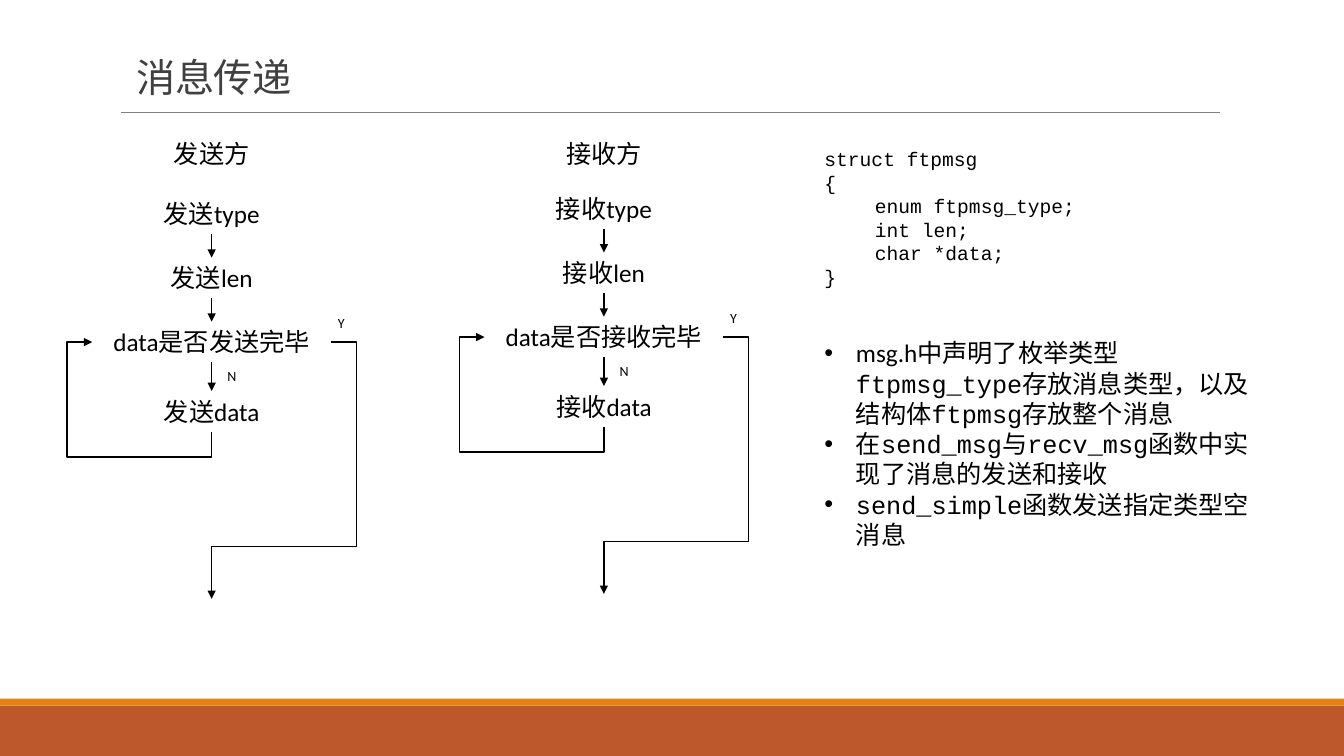
import pptx
import pptx.util
import pptx.dml.color
import pptx.enum.shapes
import pptx.enum.text
import pptx.oxml
import pptx.oxml.ns

Pt = pptx.util.Pt
ALIGN = pptx.enum.text.PP_ALIGN
ANCHOR = pptx.enum.text.MSO_ANCHOR
CONNECTOR = pptx.enum.shapes.MSO_CONNECTOR
BODY, CODE = "Calibri", "Courier New"

# Content
TITLE = "消息传递"
LANES = [
    # heading, centre x, top of first step, steps
    ("发送方", 151.2, 138.2, ["发送type", "发送len", "data是否发送完毕", "发送data"]),
    ("接收方", 431.4, 134.6, ["接收type", "接收len", "data是否接收完毕", "接收data"]),
]
STRUCT = ["struct ftpmsg", "{", "\tenum ftpmsg_type;", "\tint len;", "\tchar *data;", "}"]
NOTES = [
    [("msg.h中声明了枚举类型", BODY), ("ftpmsg_type存放消息类型，以及结构体ftpmsg存放整个消息", CODE)],
    [("在send_msg与recv_msg函数中实现了消息的发送和接收", CODE)],
    [("send_simple函数发送指定类型空消息", CODE)],
]

# Flowchart measures
STEP_TOPS = [0, 45.8, 91.6, 141.1]
STEP_W, DECISION_W, STEP_H = 100, 170.6, 29.1
ELBOW_OUT = 18
EXIT_BOTTOM, EXIT_TURN = 289.6, 0.797

deck = pptx.Presentation()
deck.slide_width, deck.slide_height = Pt(960), Pt(540)
slide = deck.slides.add_slide(deck.slide_layouts[6])


def color(hex_code):
    return pptx.dml.color.RGBColor.from_string(hex_code)


def xml(tag, attributes=""):
    return pptx.oxml.parse_xml(f"<a:{tag} {pptx.oxml.ns.nsdecls('a')} {attributes}/>")


def add_text(paragraphs, left, top, width, height, size=18, font=BODY, ink="000000",
             align=ALIGN.LEFT, anchor=ANCHOR.TOP, grow=True, leading=None,
             spacing=None, bullet=None, tab=None):
    """Each paragraph is a string or a list of (text, font) runs."""
    box = slide.shapes.add_textbox(Pt(left), Pt(top), Pt(width), Pt(height))
    frame = box.text_frame
    frame.word_wrap = True
    frame.vertical_anchor = anchor
    if grow:
        frame.auto_size = pptx.enum.text.MSO_AUTO_SIZE.SHAPE_TO_FIT_TEXT
    for index, content in enumerate(paragraphs):
        paragraph = frame.add_paragraph() if index else frame.paragraphs[0]
        paragraph.alignment = align
        if leading:
            paragraph.line_spacing = leading
        props = paragraph._p.get_or_add_pPr()
        if bullet:
            indent = Pt(22.5)
            props.set("marL", str(indent))
            props.set("indent", str(-indent))
            props.append(xml("buFont", 'typeface="Arial"'))
            props.append(xml("buChar", f'char="{bullet}"'))
        if tab:
            stops = xml("tabLst")
            stops.append(xml("tab", f'pos="{Pt(tab)}" algn="l"'))
            props.append(stops)
        for words, face in [(content, font)] if isinstance(content, str) else content:
            run = paragraph.add_run()
            run.text = words
            run.font.size, run.font.name = Pt(size), face
            run.font.color.rgb = color(ink)
            if spacing:
                run._r.get_or_add_rPr().set("spc", str(int(spacing * 100)))


def add_line(start, end, ink="000000", weight=1, arrow=True, bends=None, turn=0):
    """bends are the two bend ratios of an elbow; turn is its rotation in degrees."""
    kind = CONNECTOR.ELBOW if bends else CONNECTOR.STRAIGHT
    line = slide.shapes.add_connector(kind, *map(Pt, start + end))
    line.line.color.rgb, line.line.width = color(ink), Pt(weight)
    props = line._element.spPr
    if arrow:
        line.line._get_or_add_ln().append(xml("tailEnd", 'type="triangle"'))
    props.append(xml("effectLst"))
    if bends:
        outline = props.find(pptx.oxml.ns.qn("a:prstGeom"))
        outline.set("prst", "bentConnector4")
        guides = outline.find(pptx.oxml.ns.qn("a:avLst"))
        if guides is None:
            guides = xml("avLst")
            outline.append(guides)
        for number, ratio in enumerate(bends, 1):
            guides.append(xml("gd", f'name="adj{number}" fmla="val {round(ratio * 100000)}"'))
        if turn:
            props.find(pptx.oxml.ns.qn("a:xfrm")).set("rot", str(turn * 60000))


def add_centered(words, center, top, width, height=STEP_H, size=18):
    add_text([words], center - width / 2, top, width, height, size=size, align=ALIGN.CENTER)


# Footer bands, title and its rule
for top, height, fill in [(504, 36, "BD582C"), (499, 5, "E48312")]:
    band = slide.shapes.add_shape(pptx.enum.shapes.MSO_SHAPE.RECTANGLE,
                                  0, Pt(top), Pt(960), Pt(height))
    band.shadow.inherit = False
    band.fill.solid()
    band.fill.fore_color.rgb = color(fill)
    band.line.fill.background()
add_line((86.4, 80), (871.2, 80), ink="808080", weight=0.5, arrow=False)
add_text([TITLE], 90.7, 34.6, 792, 41, size=28, ink="404040", anchor=ANCHOR.BOTTOM,
         grow=False, leading=0.85, spacing=-0.5)

# Sender and receiver flowcharts
for heading, center, lane_top, steps in LANES:
    add_centered(heading, center, 95, 86.4)
    tops = [lane_top + offset for offset in STEP_TOPS]
    for step, top in zip(steps, tops):
        add_centered(step, center, top, DECISION_W if step == steps[2] else STEP_W)
    for above, below in zip(tops, tops[1:]):
        add_line((center, above + STEP_H), (center, below))

    # Loop back to the decision: laid out upright, then turned a quarter
    reach = DECISION_W / 2
    decision_y, data_bottom = tops[2] + STEP_H / 2, tops[3] + STEP_H
    rise = data_bottom - decision_y
    loop_x, loop_y = center - reach / 2, (decision_y + data_bottom) / 2
    add_line((loop_x + rise / 2, loop_y - reach / 2), (loop_x - rise / 2, loop_y + reach / 2),
             bends=(-ELBOW_OUT / rise, 1 + ELBOW_OUT / reach), turn=90)

    # Exit
    add_line((center + reach, decision_y), (center, lane_top + EXIT_BOTTOM),
             bends=(-ELBOW_OUT / reach, EXIT_TURN))
    add_centered("N", center + 14.4, lane_top + 121, 103.7, 19.4, size=10)
    add_centered("Y", center + 92.5, lane_top + 83, 103.7, 19.4, size=10)

# Message structure and notes
add_text(STRUCT, 581.8, 101.5, 301, 108.7, size=14, font=CODE, tab=36)
add_text(NOTES, 581.8, 237.6, 320.4, 159.8, bullet="•")

deck.save("out.pptx")
